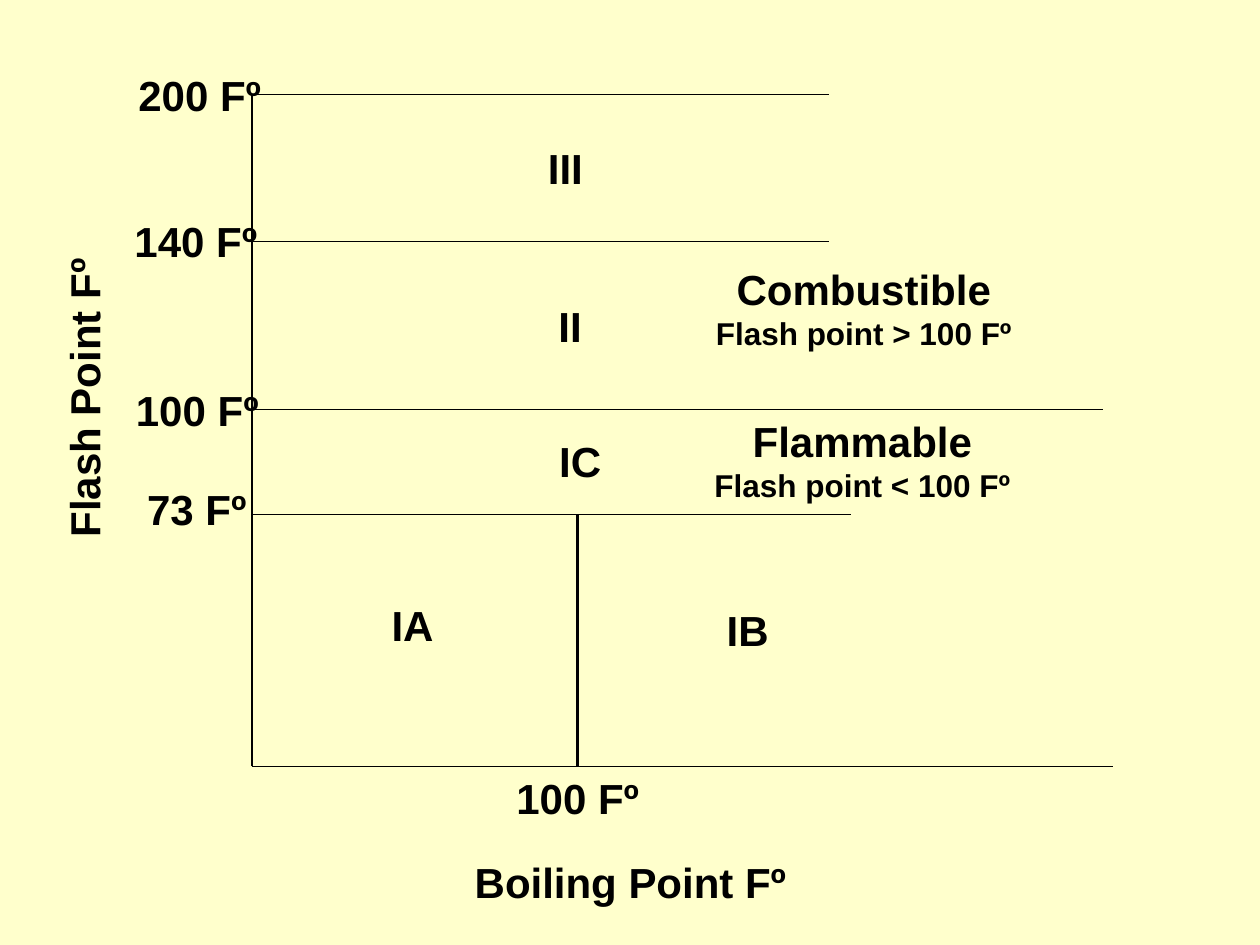
import pptx
import pptx.dml.color
import pptx.enum.shapes
import pptx.enum.text
import pptx.oxml.ns
import pptx.util
from lxml import etree

Pt = pptx.util.Pt
ALIGN = pptx.enum.text.PP_ALIGN
INK, PAPER = "000000", "FFFFCC"

# Content: (lines of text, left, top, width), in points
AXIS_LABELS = [
    (["200 Fº"], 72, 36, 84.2),
    (["140 Fº"], 69.8, 119.5, 90.7),
    (["100 Fº"], 70.6, 216, 84.2),
    (["73 Fº"], 77, 272.9, 71.3),
    (["Boiling Point Fº"], 264.2, 486, 192.2),
    (["100 Fº"], 288, 438, 84.2),
]
FLASH_LABEL = (["Flash Point Fº"], -38.9, 209.5, 173.5)
CLASS_LABELS = [
    (["IA"], 216.7, 339.1, 38.2),
    (["IB"], 408.2, 342, 38.2),
    (["IC"], 312.5, 245.5, 38.2),
    (["II"], 312, 168, 27.4),
    (["III"], 306, 78, 34.6),
]
CATEGORIES = [
    (["Combustible", "Flash point > 100 Fº"], 401.8, 146.9, 183.6),
    (["Flammable", "Flash point < 100 Fº"], 401, 234, 183.6),
]

# Chart frame: horizontal lines are (height on the slide, right end)
AXIS_X, TOP, BASE = 144, 54, 438
LEVELS = [(BASE, 636), (294, 486), (234, 630), (138, 474), (TOP, 474)]
BOILING_X, BOILING_TOP = 330, 294


def color(hex_text):
    return pptx.dml.color.RGBColor.from_string(hex_text)


def add_label(shapes, lines, left, top, width, align=ALIGN.LEFT):
    height = 36 if len(lines) == 1 else 57.6
    box = shapes.add_textbox(Pt(left), Pt(top), Pt(width), Pt(height))
    frame = box.text_frame
    frame.word_wrap = False
    frame.auto_size = pptx.enum.text.MSO_AUTO_SIZE.SHAPE_TO_FIT_TEXT
    if align == ALIGN.LEFT:
        frame.margin_right = 0  # spare room keeps each label on one line
    for index, line in enumerate(lines):
        para = frame.paragraphs[0] if index == 0 else frame.add_paragraph()
        para.alignment = align
        span = para.add_run()
        span.text = line
        style = {"name": "Arial", "size": Pt(18 if index else 24), "bold": True}
        for name, value in style.items():
            setattr(span.font, name, value)
        span.font.color.rgb = color(INK)
    return box


def add_line(shapes, x1, y1, x2, y2, width=0.75):
    line = shapes.add_connector(pptx.enum.shapes.MSO_CONNECTOR.STRAIGHT,
                                Pt(x1), Pt(y1), Pt(x2), Pt(y2))
    line.line.color.rgb = color(INK)
    line.line.width = Pt(width)
    etree.SubElement(line._element.spPr, pptx.oxml.ns.qn("a:effectLst"))


def main():
    deck = pptx.Presentation()
    deck.slide_width, deck.slide_height = Pt(720), Pt(540)
    page = deck.slides.add_slide(deck.slide_layouts[6])
    page.background.fill.solid()
    page.background.fill.fore_color.rgb = color(PAPER)

    # Axis labels
    add_label(page.shapes, *FLASH_LABEL).rotation = 270
    for label in AXIS_LABELS:
        add_label(page.shapes, *label)

    # Diagram: axes, flash point levels, boiling point divider, classes
    diagram = page.shapes.add_group_shape().shapes
    add_line(diagram, AXIS_X, BASE, AXIS_X, TOP)
    for height, right in LEVELS:
        add_line(diagram, AXIS_X, height, right, height)
    add_line(diagram, BOILING_X, BASE, BOILING_X, BOILING_TOP, 2.25)
    for label in CLASS_LABELS:
        add_label(diagram, *label)

    # Liquid categories
    for label in CATEGORIES:
        add_label(page.shapes, *label, align=ALIGN.CENTER)

    deck.save("out.pptx")


if __name__ == "__main__":
    main()
